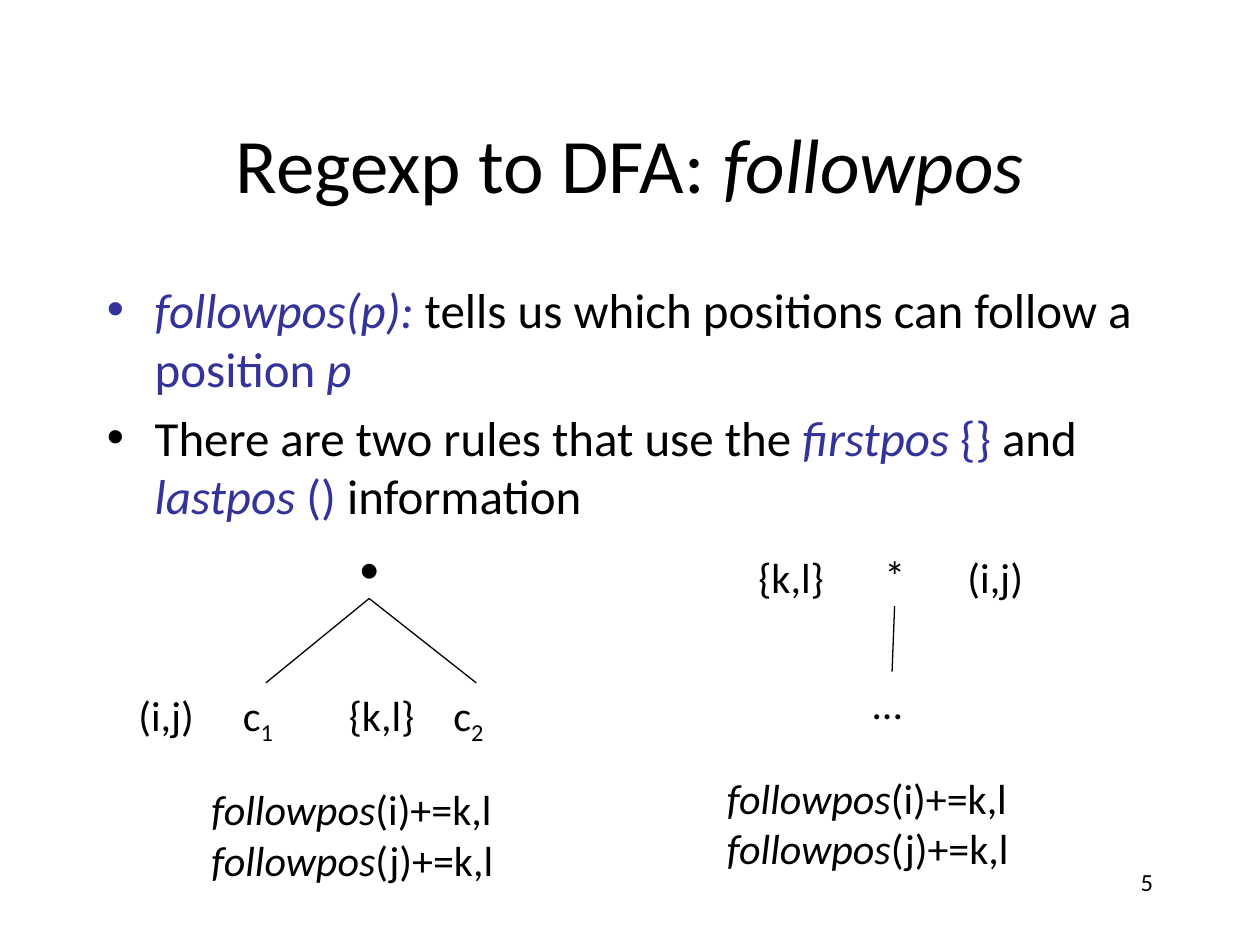
from lxml.etree import SubElement
from pptx import Presentation
from pptx.dml.color import RGBColor
from pptx.enum.shapes import MSO_CONNECTOR
from pptx.enum.text import MSO_ANCHOR, PP_ALIGN
from pptx.oxml.ns import qn
from pptx.util import Inches, Pt

COLORS = {"text": "000000", "accent": "333399"}
FONT = "Calibri"

# Content: a paragraph is a list of (text, style) spans;
# style letters: i italic, a accent colour, s subscript
TITLE = [("Regexp to DFA: ", ""), ("followpos", "i")]
BULLETS = [
    [("followpos(p):", "ia"), (" tells us which positions can follow a ", ""),
     ("position ", "a"), ("p", "ia")],
    [("There are two rules that use the ", ""), ("firstpos", "ia"), (" {}", "a"),
     (" and ", ""), ("lastpos", "ia"), (" ()", "a"), (" information", "")],
]
RULES = [[("followpos", "i"), (f"({position})+=k,l", "")] for position in "ij"]
RULE_BOXES = [(1.58, 6.17, 2.65, 0.91), (5.67, 6.08, 2.68, 0.91)]

# Tree labels: spans, left, top, width
LABELS = [
    ([("•", "")], 2.75, 4.25, 0.35),
    ([("(i,j)", "")], 1, 5.42, 0.65),
    ([("c", ""), ("1", "s")], 1.83, 5.42, 0.56),
    ([("{k,l}", "")], 2.67, 5.42, 0.73),
    ([("c", ""), ("2", "s")], 3.5, 5.42, 0.56),
    ([("{k,l}", "")], 5.92, 4.33, 0.73),
    ([("*", "")], 6.92, 4.31, 0.37),
    ([("(i,j)", "")], 7.58, 4.33, 0.65),
    ([("…", "")], 6.83, 5.33, 0.5),
]
BRANCHES = [
    ((2.93, 4.75), (2.11, 5.42)),
    ((2.93, 4.75), (3.78, 5.42)),
    ((7.1, 4.81), (7.08, 5.33)),
]


def write(frame, paragraphs, size=24, align=PP_ALIGN.LEFT, bullet=False, wrap=True):
    frame.word_wrap = wrap
    for index, spans in enumerate(paragraphs):
        para = frame.paragraphs[0] if index == 0 else frame.add_paragraph()
        para.alignment = align
        if bullet:
            if index:
                para.space_before = Pt(size * 0.2)
            properties = para._p.get_or_add_pPr()
            properties.set("marL", str(Inches(0.38)))
            properties.set("indent", str(-Inches(0.38)))
            SubElement(properties, qn("a:buFont"), typeface="Arial")
            SubElement(properties, qn("a:buChar"), char="•")
        for text, style in spans:
            span = para.add_run()
            span.text = text
            span.font.name = FONT
            span.font.size = Pt(size)
            span.font.italic = "i" in style
            color = COLORS["accent" if "a" in style else "text"]
            span.font.color.rgb = RGBColor.from_string(color)
            if "s" in style:
                span._r.get_or_add_rPr().set("baseline", "-25000")


def add_text(page, paragraphs, left, top, width, height, **text_format):
    box = page.shapes.add_textbox(*map(Inches, (left, top, width, height)))
    write(box.text_frame, paragraphs, **text_format)


def add_branch(page, start, end):
    line = page.shapes.add_connector(
        MSO_CONNECTOR.STRAIGHT, *map(Inches, (*start, *end)))
    line.line.color.rgb = RGBColor.from_string(COLORS["text"])
    line.line.width = Pt(0.75)
    SubElement(line._element.spPr, qn("a:effectLst"))


def main():
    deck = Presentation()
    deck.slide_width, deck.slide_height = Inches(10), Inches(7.5)
    page = deck.slides.add_slide(deck.slide_layouts[5])

    # Title
    title = page.shapes.title
    title.left, title.top = Inches(0.75), Inches(0.67)
    title.width, title.height = Inches(8.5), Inches(1.25)
    title.text_frame.vertical_anchor = MSO_ANCHOR.MIDDLE
    write(title.text_frame, [TITLE], size=44, align=PP_ALIGN.CENTER)

    # Explanation
    add_text(page, BULLETS, 0.75, 2.17, 8.5, 2.1, size=28, bullet=True)

    # Syntax trees
    for spans, left, top, width in LABELS:
        add_text(page, [spans], left, top, width, 0.5, wrap=False)
    for start, end in BRANCHES:
        add_branch(page, start, end)

    # Rules under the trees
    for place in RULE_BOXES:
        add_text(page, RULES, *place)

    # Page number
    add_text(page, [[("5", "")]], 7.17, 6.83, 2.08, 0.5, size=14, align=PP_ALIGN.RIGHT)

    deck.save("out.pptx")


if __name__ == "__main__":
    main()
